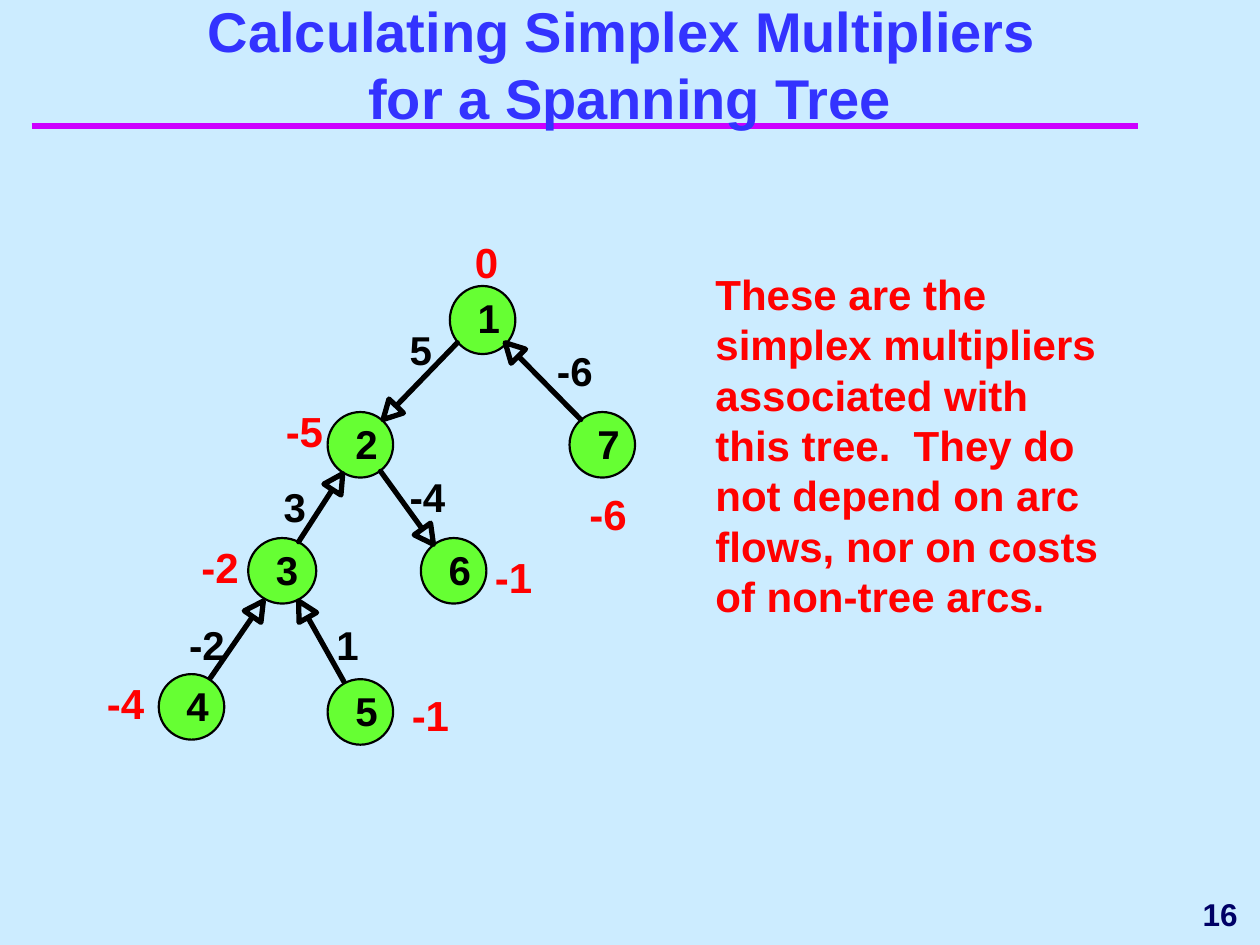
import math

import pptx
import pptx.dml.color
import pptx.enum.shapes
import pptx.enum.text
import pptx.oxml
import pptx.util

RGBColor = pptx.dml.color.RGBColor
Inches = pptx.util.Inches
Pt = pptx.util.Pt
ALIGN = pptx.enum.text.PP_ALIGN
ANCHOR = pptx.enum.text.MSO_ANCHOR

SKY = RGBColor(0xCC, 0xEC, 0xFF)
PURPLE = RGBColor(0xCC, 0x00, 0xFF)
BLUE = RGBColor(0x33, 0x33, 0xFF)
NAVY = RGBColor(0x00, 0x00, 0x66)
GREEN = RGBColor(0x66, 0xFF, 0x33)
RED = RGBColor(0xFF, 0x00, 0x00)
BLACK = RGBColor(0x00, 0x00, 0x00)

WIDTH, HEIGHT = 10, 7.5
HEAD_LENGTH, HEAD_HALF_WIDTH = 0.15, 0.08
UNITS_PER_INCH = 1000

presentation = pptx.Presentation()
presentation.slide_width = Inches(WIDTH)
presentation.slide_height = Inches(HEIGHT)
slide = presentation.slides.add_slide(presentation.slide_layouts[6])
slide.background.fill.solid()
slide.background.fill.fore_color.rgb = SKY


def add_text(lines, box, size, color, align=ALIGN.LEFT, anchor=ANCHOR.TOP, inset=True, wrap=True):
    """Add one bold paragraph whose lines are parted by line breaks."""
    shape = slide.shapes.add_textbox(*(Inches(length) for length in box))
    frame = shape.text_frame
    frame.word_wrap = wrap
    frame.vertical_anchor = anchor
    if not inset:
        frame.margin_left = frame.margin_right = frame.margin_top = frame.margin_bottom = 0
    paragraph = frame.paragraphs[0]
    paragraph.alignment = align
    for index, line in enumerate(lines):
        if index:
            paragraph.add_line_break()
        run = paragraph.add_run()
        run.text = line
        run.font.name = "Arial"
        run.font.size = Pt(size)
        run.font.bold = True
        run.font.color.rgb = color


# Heading
rule = slide.shapes.add_connector(
    pptx.enum.shapes.MSO_CONNECTOR.STRAIGHT, Inches(0.25), Inches(1), Inches(9.03), Inches(1))
rule.line.color.rgb = PURPLE
rule.line.width = Pt(4)
rule._element.spPr.append(pptx.oxml.parse_xml(
    '<a:effectLst xmlns:a="http://schemas.openxmlformats.org/drawingml/2006/main"/>'))
add_text(["16"], (0.8 * WIDTH, 7, 1.92, 0.5), 18, NAVY, ALIGN.RIGHT, ANCHOR.MIDDLE, wrap=False)
add_text(["Calculating Simplex Multipliers ", "for a Spanning Tree"],
         (0, 0.67, WIDTH, 0.42), 32, BLUE, ALIGN.CENTER, ANCHOR.BOTTOM)

# Tree nodes: number, left, top, width, height
nodes = [("1", 3.57, 2.27, 0.52, 0.54), ("3", 1.97, 4.27, 0.54, 0.52),
         ("6", 3.34, 4.27, 0.52, 0.52), ("4", 1.26, 5.35, 0.52, 0.52),
         ("5", 2.6, 5.39, 0.52, 0.52), ("2", 2.6, 3.27, 0.52, 0.52),
         ("7", 4.52, 3.27, 0.52, 0.52)]
for number, left, top, width, height in nodes:
    node = slide.shapes.add_shape(
        pptx.enum.shapes.MSO_SHAPE.OVAL, Inches(left), Inches(top), Inches(width), Inches(height))
    node.shadow.inherit = False
    node.fill.solid()
    node.fill.fore_color.rgb = GREEN
    node.line.color.rgb = BLACK
    node.line.width = Pt(1.25)
    add_text([number], (left + 0.22, top + 0.06, 0.18, 0.38), 23, BLACK, inset=False, wrap=False)

# Arc costs: cost, left, top
arc_costs = [("5", 3.25, 2.58), ("-6", 4.42, 2.75), ("-2", 1.5, 4.92),
             ("-4", 3.25, 3.75), ("1", 2.67, 4.92), ("3", 2.25, 3.83)]
for cost, left, top in arc_costs:
    add_text([cost], (left, top, 0.11 * len(cost) + 0.07, 0.38), 23, BLACK, inset=False, wrap=False)

# Arcs with hollow heads: tail, tip
arcs = [((3.63, 2.72), (3.04, 3.33)), ((2.37, 4.3), (2.72, 3.76)),
        ((1.67, 5.38), (2.09, 4.77)), ((2.73, 5.41), (2.37, 4.77)),
        ((3.02, 3.74), (3.44, 4.32)), ((4.61, 3.33), (4.01, 2.72))]
for tail, tip in arcs:
    angle = math.atan2(tip[1] - tail[1], tip[0] - tail[0])
    along_x, along_y = math.cos(angle), math.sin(angle)
    base = (tip[0] - HEAD_LENGTH * along_x, tip[1] - HEAD_LENGTH * along_y)
    corners = [(base[0] - side * along_y, base[1] + side * along_x)
               for side in (HEAD_HALF_WIDTH, -HEAD_HALF_WIDTH)]
    start, *outline = [(x * UNITS_PER_INCH, y * UNITS_PER_INCH)
                       for x, y in (tail, base, corners[0], tip, corners[1], base)]
    builder = slide.shapes.build_freeform(*start, scale=Inches(1) / UNITS_PER_INCH)
    builder.add_line_segments(outline, close=True)
    arc = builder.convert_to_shape()
    arc.shadow.inherit = False
    arc.fill.background()
    arc.line.color.rgb = BLACK
    arc.line.width = Pt(3)

# Explanation and simplex multipliers: value, left, top
add_text(["These are the simplex multipliers associated with this tree.  They do not depend "
          "on arc flows, nor on costs of non-tree arcs."], (5.58, 2.08, 3.25, 2.9), 24, RED)
multipliers = [("0", 3.67, 1.83), ("-5", 2.17, 3.17), ("-6", 4.58, 3.83), ("-2", 1.5, 4.25),
               ("-1", 3.83, 4.33), ("-4", 0.75, 5.33), ("-1", 3.17, 5.42)]
for value, left, top in multipliers:
    add_text([value], (left, top, 1, 0.5), 24, RED)

presentation.save("out.pptx")
